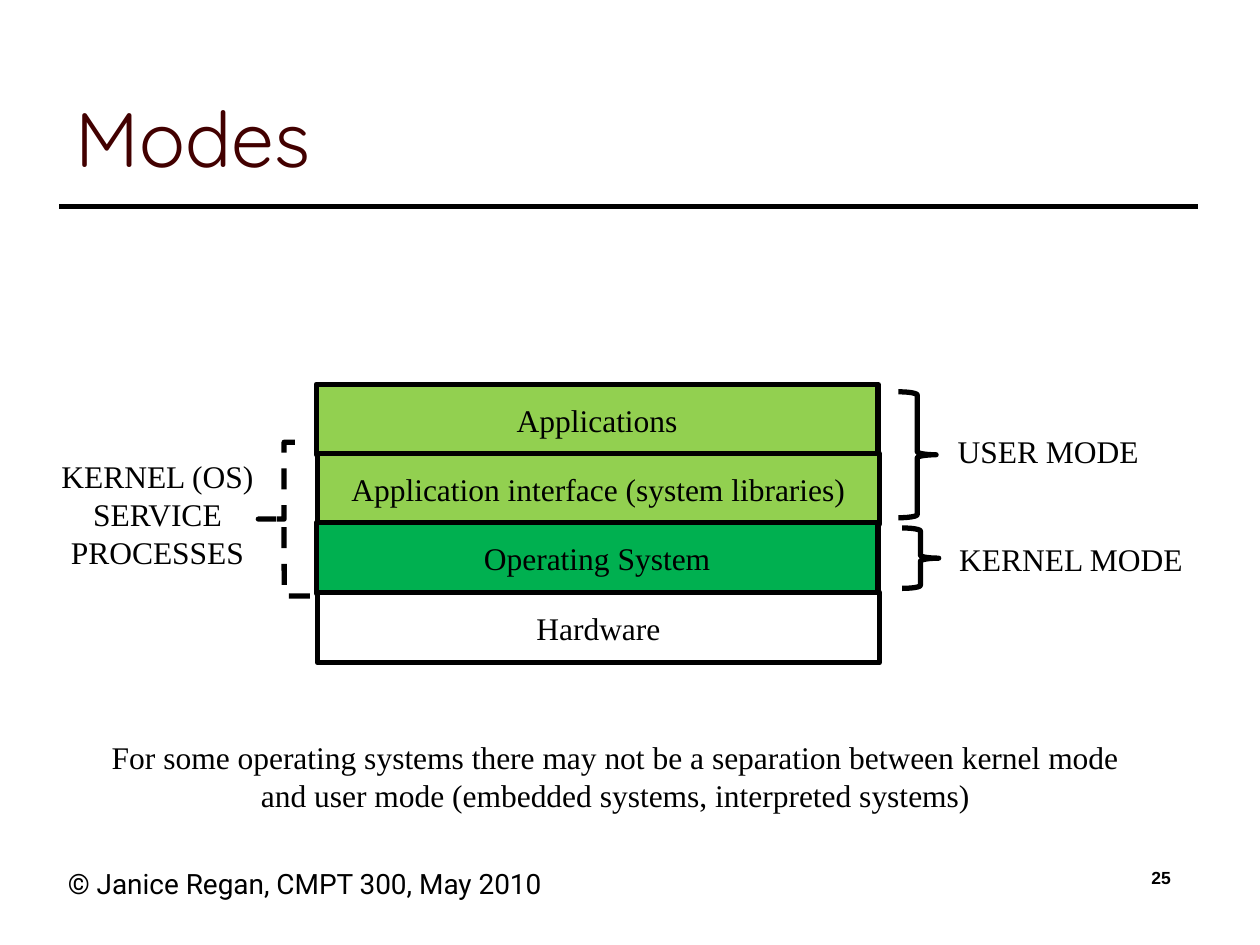
from lxml import etree
from pptx import Presentation
from pptx.dml.color import RGBColor
from pptx.enum.dml import MSO_LINE
from pptx.enum.shapes import MSO_CONNECTOR, MSO_SHAPE
from pptx.enum.text import MSO_ANCHOR, PP_ALIGN
from pptx.oxml.ns import qn
from pptx.util import Inches, Pt

RECTANGLE = MSO_SHAPE.RECTANGLE
LEFT_BRACE = MSO_SHAPE.LEFT_BRACE
RIGHT_BRACE = MSO_SHAPE.RIGHT_BRACE
STRAIGHT = MSO_CONNECTOR.STRAIGHT
DASH = MSO_LINE.DASH
LEFT, CENTER, RIGHT = PP_ALIGN.LEFT, PP_ALIGN.CENTER, PP_ALIGN.RIGHT
TOP, MIDDLE, BOTTOM = MSO_ANCHOR.TOP, MSO_ANCHOR.MIDDLE, MSO_ANCHOR.BOTTOM

COLORS = {
    "ink": "000000",
    "title": "420000",
    "user": "92D050",
    "kernel": "00B050",
    "hardware": "FFFFFF",
}
BODY_FONT = "Times New Roman"
LINE_WIDTH = 3

LAYERS = [
    ("Applications", "user"),
    ("Application interface (system libraries)", "user"),
    ("Operating System", "kernel"),
    ("Hardware", "hardware"),
]
STACK_LEFT, STACK_TOP = 2.51, 3.05
LAYER_WIDTH, LAYER_HEIGHT, LAYER_PITCH = 4.46, 0.56, 0.55
LAYER_SHIFT = 0.01

BRACES = [
    (RIGHT_BRACE, (7.16, 4.19, 0.29, 0.48), 0.083, None),
    (RIGHT_BRACE, (7.13, 3.11, 0.3, 1), 0.083, None),
    (LEFT_BRACE, (2.05, 3.51, 0.41, 1.22), 0, DASH),
]
LABELS = [
    ("USER MODE", (7.4, 3.38, 1.84, 0.4)),
    ("KERNEL MODE", (7.38, 4.24, 2.24, 0.4)),
    ("KERNEL (OS) SERVICE PROCESSES", (0.33, 3.58, 1.84, 1.01)),
    ("For some operating systems there may not be a separation between "
     "kernel mode and user mode (embedded systems, interpreted systems)",
     (0.59, 5.81, 8.59, 0.71)),
]


def color(name):
    return RGBColor.from_string(COLORS[name])


def box(bounds):
    return [Inches(length) for length in bounds]


def write(shape, text, size=18, font=BODY_FONT, ink="ink", bold=False,
          align=CENTER, anchor=TOP, wrap=True):
    frame = shape.text_frame
    frame.text = text
    frame.word_wrap = wrap
    frame.vertical_anchor = anchor
    paragraph = frame.paragraphs[0]
    paragraph.alignment = align
    for run in paragraph.runs:
        run.font.size = Pt(size)
        run.font.name = font
        run.font.bold = bold
        run.font.color.rgb = color(ink)


def set_line(shape, dash=None):
    shape.line.color.rgb = color("ink")
    shape.line.width = Pt(LINE_WIDTH)
    if dash is not None:
        shape.line.dash_style = dash


def add_title(slide, text):
    title = slide.shapes.title
    title.left, title.top, title.width, title.height = box((0.5, 0.25, 9, 1.25))
    write(title, text, 44, "Quicksand", "title", align=LEFT, anchor=BOTTOM)


def add_rule(slide, left, right, top):
    rule = slide.shapes.add_connector(STRAIGHT, *box((left, top, right, top)))
    set_line(rule)
    etree.SubElement(rule._element.spPr, qn("a:effectLst"))


def add_text(slide, text, bounds, **style):
    write(slide.shapes.add_textbox(*box(bounds)), text, **style)


def add_layer(slide, row, text, fill):
    left = STACK_LEFT + row % 2 * LAYER_SHIFT
    top = STACK_TOP + row * LAYER_PITCH
    layer = slide.shapes.add_shape(
        RECTANGLE, *box((left, top, LAYER_WIDTH, LAYER_HEIGHT)))
    layer.shadow.inherit = False
    layer.fill.solid()
    layer.fill.fore_color.rgb = color(fill)
    set_line(layer)
    write(layer, text, anchor=MIDDLE, wrap=False)


def add_brace(slide, kind, bounds, curl, dash):
    brace = slide.shapes.add_shape(kind, *box(bounds))
    brace.shadow.inherit = False
    brace.adjustments[0] = curl
    brace.fill.background()
    set_line(brace, dash)


def main():
    presentation = Presentation()
    presentation.slide_width = Inches(10)
    presentation.slide_height = Inches(7.5)
    slide = presentation.slides.add_slide(presentation.slide_layouts[5])

    add_rule(slide, 0.47, 9.51, 1.64)
    add_title(slide, "Modes")
    add_text(slide, "© Janice Regan, CMPT 300, May 2010", (0.44, 6.83, 4.75, 0.5),
             size=16, font="Roboto", align=LEFT)
    add_text(slide, "25", (7.31, 6.83, 2.08, 0.5),
             size=10, font="Arial", bold=True, align=RIGHT)
    for row, (text, fill) in enumerate(LAYERS):
        add_layer(slide, row, text, fill)
    for brace in BRACES:
        add_brace(slide, *brace)
    for text, bounds in LABELS:
        add_text(slide, text, bounds)

    presentation.save("out.pptx")


if __name__ == "__main__":
    main()
